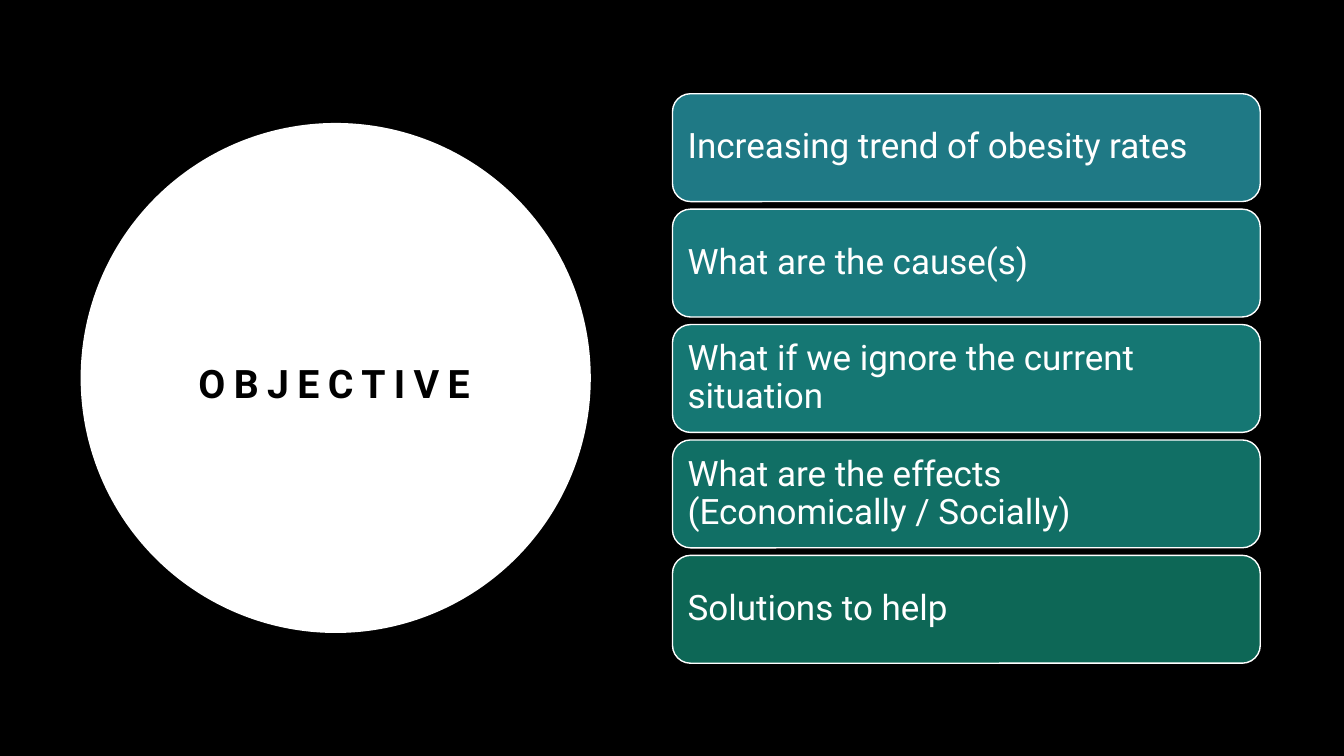
"""Build the objective slide: a title circle beside a column of topic cards."""
from dataclasses import dataclass

from pptx import Presentation
from pptx import util as u
from pptx.dml.color import RGBColor
from pptx.enum import shapes, text

BLACK = RGBColor(0x00, 0x00, 0x00)
WHITE = RGBColor(0xFF, 0xFF, 0xFF)
FONT = "Roboto"
CARD_LEFT, CARD_TOP = 6.67, 0.93
CARD_WIDTH, CARD_HEIGHT = 5.83, 1.07
CARD_PITCH = 1.145


@dataclass(frozen=True)
class Topic:
    """A card's wording and fill."""
    wording: str
    fill: RGBColor


TOPICS = [
    Topic("Increasing trend of obesity rates", RGBColor(0x1F, 0x79, 0x85)),
    Topic("What are the cause(s)", RGBColor(0x1A, 0x7A, 0x7E)),
    Topic("What if we ignore the current situation", RGBColor(0x15, 0x77, 0x73)),
    Topic("What are the effects (Economically / Socially)", RGBColor(0x11, 0x6F, 0x65)),
    Topic("Solutions to help", RGBColor(0x0D, 0x67, 0x56)),
]


def write(frame, wording: str, size: float, color: RGBColor, align, line_spacing: float):
    """Write one vertically centred paragraph and return its run."""
    frame.word_wrap = True
    frame.vertical_anchor = text.MSO_ANCHOR.MIDDLE
    paragraph = frame.paragraphs[0]
    paragraph.alignment = align
    paragraph.line_spacing = line_spacing
    run = paragraph.add_run()
    run.text = wording
    run.font.name = FONT
    run.font.size = u.Pt(size)
    run.font.color.rgb = color
    return run


def draw_objective(slide) -> None:
    """Draw the white circle and its spaced title."""
    circle = slide.shapes.add_shape(
        shapes.MSO_SHAPE.OVAL, u.Inches(0.8), u.Inches(1.22), u.Inches(5.06), u.Inches(5.06))
    circle.shadow.inherit = False
    circle.fill.solid()
    circle.fill.fore_color.rgb = WHITE
    circle.line.fill.background()

    title = slide.shapes.add_textbox(
        u.Inches(1.32), u.Inches(2.5), u.Inches(3.99), u.Inches(2.5))
    run = write(title.text_frame, "OBJECTIVE", 28, BLACK, text.PP_ALIGN.CENTER, 1.2)
    run.font.bold = True
    run.font._element.set("spc", "600")


def draw_topic(slide, topic: Topic, row: int) -> None:
    """Draw one topic card in its row."""
    card = slide.shapes.add_shape(
        shapes.MSO_SHAPE.ROUNDED_RECTANGLE,
        u.Inches(CARD_LEFT), u.Inches(CARD_TOP + row * CARD_PITCH),
        u.Inches(CARD_WIDTH), u.Inches(CARD_HEIGHT))
    card.shadow.inherit = False
    card.fill.solid()
    card.fill.fore_color.rgb = topic.fill
    card.line.color.rgb = WHITE
    card.line.width = u.Pt(1)
    frame = card.text_frame
    frame.margin_left = frame.margin_right = u.Inches(0.1)
    frame.margin_top = frame.margin_bottom = u.Inches(0.1)
    write(frame, topic.wording, 25, WHITE, text.PP_ALIGN.LEFT, 0.9)


def main() -> None:
    """Build and save the slide."""
    deck = Presentation()
    deck.slide_width, deck.slide_height = u.Inches(13.33), u.Inches(7.5)
    slide = deck.slides.add_slide(deck.slide_layouts[6])
    slide.background.fill.solid()
    slide.background.fill.fore_color.rgb = BLACK
    draw_objective(slide)
    for row, topic in enumerate(TOPICS):
        draw_topic(slide, topic, row)
    deck.save("out.pptx")


if __name__ == "__main__":
    main()
